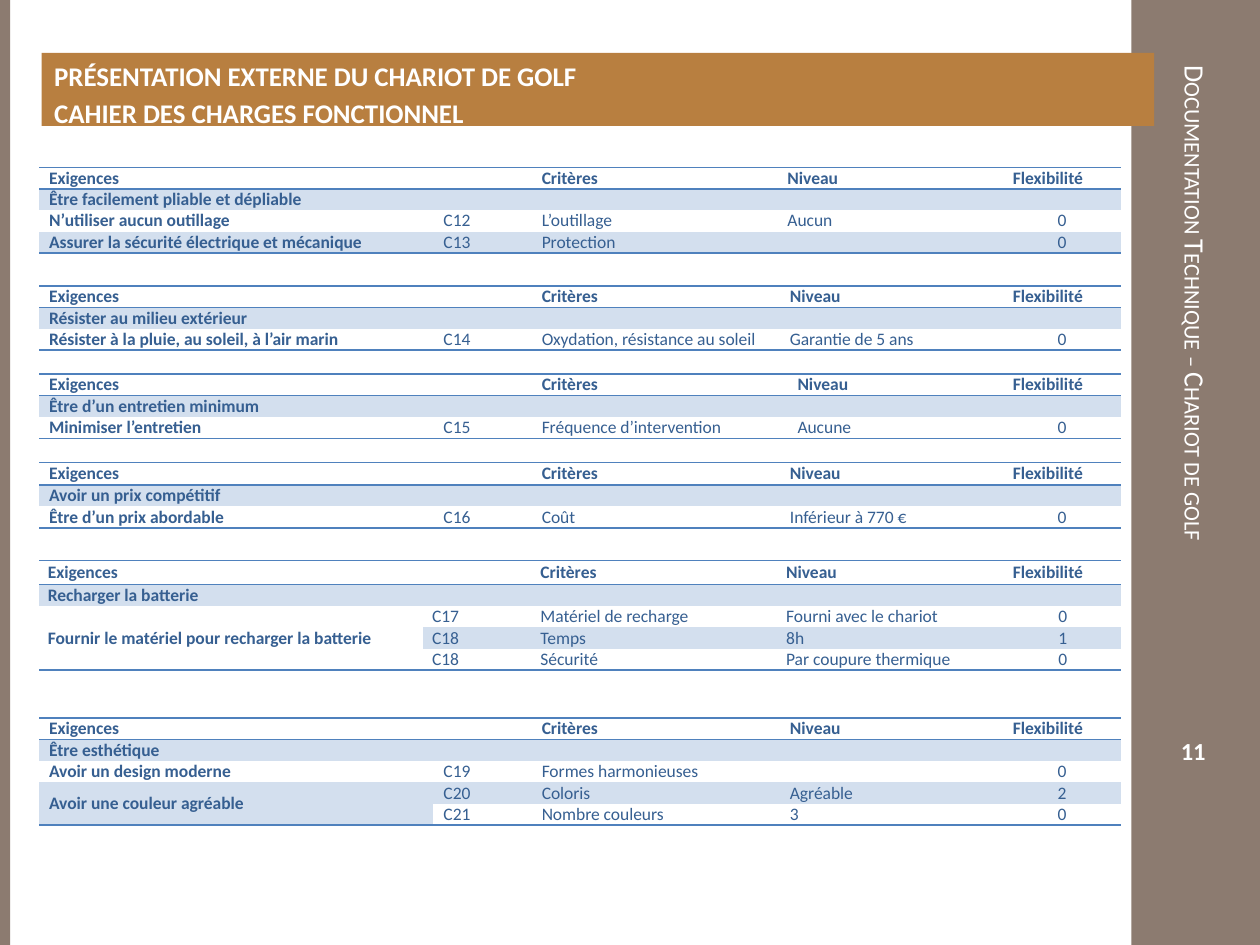
"""Build the golf trolley functional specification slide."""
from lxml import etree
from pptx import Presentation
from pptx import util as u
from pptx.dml.color import RGBColor
from pptx.enum import shapes, text
from pptx.oxml.ns import qn

COLORS = {"bar": "8C7B70", "band": "B87F40", "white": "FFFFFF",
          "ink": "365F91", "stripe": "D3DFEE", "rule": "4F81BD"}
FONT = "Calibri"
NO_STYLE = "{2D5ABB26-0587-4C30-8999-92F81FD0307C}"
HEADERS = ["Exigences", "", "Critères", "Niveau", "Flexibilité"]
ROW_HEIGHT = 0.17


def set_font(paragraph, size, color, bold=False):
    paragraph.font.name = FONT
    paragraph.font.size = u.Pt(size)
    paragraph.font.bold = bold
    paragraph.font.color.rgb = RGBColor.from_string(COLORS[color])


def add_rule(cell, side):
    line = etree.SubElement(cell._tc.get_or_add_tcPr(), qn("a:" + side), w=str(u.Pt(1)))
    fill = etree.SubElement(line, qn("a:solidFill"))
    etree.SubElement(fill, qn("a:srgbClr"), val=COLORS["rule"])


tables = [
    (1.33, ROW_HEIGHT, 0.08, [3.13, 0.78, 1.95, 1.79, 0.94], "Être facilement pliable et dépliable", [
        ["N’utiliser aucun outillage", "C12", "L’outillage", "Aucun", "0"],
        ["Assurer la sécurité électrique et mécanique", "C13", "Protection", "", "0"]]),
    (2.27, ROW_HEIGHT, 0.08, [3.13, 0.78, 1.97, 1.77, 0.94], "Résister au milieu extérieur", [
        ["Résister à la pluie, au soleil, à l’air marin", "C14",
         "Oxydation, résistance au soleil", "Garantie de 5 ans", "0"]]),
    (2.97, ROW_HEIGHT, 0.08, [3.13, 0.78, 2.03, 1.71, 0.94], "Être d’un entretien minimum", [
        ["Minimiser l’entretien", "C15", "Fréquence d’intervention", "Aucune", "0"]]),
    (3.67, 0.18, 0.08, [3.13, 0.78, 1.97, 1.77, 0.94], "Avoir un prix compétitif", [
        ["Être d’un prix abordable", "C16", "Coût", "Inférieur à 770 €", "0"]]),
    (4.45, 0.19, 0.07, [3.05, 0.86, 1.95, 1.8, 0.93], "Recharger la batterie", [
        ["Fournir le matériel pour recharger la batterie", "C17",
         "Matériel de recharge", "Fourni avec le chariot", "0"],
        ["", "C18", "Temps", "8h", "1"],
        ["", "C18", "Sécurité", "Par coupure thermique", "0"]]),
    (5.7, ROW_HEIGHT, 0.08, [3.13, 0.78, 1.97, 1.77, 0.94], "Être esthétique", [
        ["Avoir un design moderne", "C19", "Formes harmonieuses", "", "0"],
        ["Avoir une couleur agréable", "C20", "Coloris", "Agréable", "2"],
        ["", "C21", "Nombre couleurs", "3", "0"]]),
]

presentation = Presentation()
presentation.slide_width, presentation.slide_height = u.Inches(10), u.Inches(7.5)
slide = presentation.slides.add_slide(presentation.slide_layouts[5])

for left, width in [(8.98, 1.02), (0, 0.08)]:
    bar = slide.shapes.add_shape(shapes.MSO_SHAPE.RECTANGLE, u.Inches(left), 0,
                                 u.Inches(width), u.Inches(7.5))
    bar.shadow.inherit = False
    bar.fill.solid()
    bar.fill.fore_color.rgb = RGBColor.from_string(COLORS["bar"])
    bar.line.fill.background()

for box, words, size, vertical in [
        ((8.98, 0.42, 1.02, 6.42), "Documentation Technique – Chariot de golf", 16, True),
        ((8.98, 5.8, 0.98, 0.31), "11", 14, False)]:
    label = slide.shapes.add_textbox(*map(u.Inches, box))
    frame = label.text_frame
    frame.word_wrap = True
    frame.vertical_anchor = text.MSO_ANCHOR.MIDDLE
    paragraph = frame.paragraphs[0]
    paragraph.text = words
    set_font(paragraph, size, "white", bold=not vertical)
    if vertical:
        frame._txBody.bodyPr.set("vert", "vert")
        paragraph.runs[0].font._element.set("cap", "small")
    else:
        paragraph.alignment = text.PP_ALIGN.CENTER

title = slide.shapes.title
title.element.getparent().append(title.element)
title.left, title.top, title.width, title.height = map(u.Inches, (0.33, 0.42, 8.83, 0.58))
title.fill.solid()
title.fill.fore_color.rgb = RGBColor.from_string(COLORS["band"])
frame = title.text_frame
frame.text = "PRÉSENTATION EXTERNE DU CHARIOT DE GOLF\nCAHIER DES CHARGES FONCTIONNEL"
frame.word_wrap = True
frame.auto_size = text.MSO_AUTO_SIZE.NONE
frame.vertical_anchor = text.MSO_ANCHOR.TOP
for paragraph in frame.paragraphs:
    paragraph.alignment = text.PP_ALIGN.LEFT
    set_font(paragraph, 15.4, "white", bold=True)
frame.paragraphs[1].space_before = u.Pt(3)

for top, header_height, margin, widths, need, requirements in tables:
    rows = [HEADERS, [need, "", "", "", ""]] + requirements
    last = len(rows) - 1
    heights = [header_height] + [ROW_HEIGHT] * last
    graphic = slide.shapes.add_table(len(rows), len(widths), u.Inches(0.31), u.Inches(top),
                                     u.Inches(sum(widths)), u.Inches(sum(heights)))
    table = graphic.table
    table.first_row = table.horz_banding = False
    for style in graphic.element.iter(qn("a:tableStyleId")):
        style.text = NO_STYLE
    for column, width in zip(table.columns, widths):
        column.width = u.Inches(width)
    for row, height in zip(table.rows, heights):
        row.height = u.Inches(height)

    table.cell(1, 0).merge(table.cell(1, 4))
    starts = [r for r in range(2, len(rows)) if rows[r][0]]
    for start, following in zip(starts, starts[1:] + [len(rows)]):
        if following - start > 1:
            table.cell(start, 0).merge(table.cell(following - 1, 0))

    for r, values in enumerate(rows):
        for c, value in enumerate(values):
            cell = table.cell(r, c)
            cell.margin_left = cell.margin_right = u.Inches(margin)
            cell.margin_top = cell.margin_bottom = 0
            cell.vertical_anchor = text.MSO_ANCHOR.MIDDLE
            paragraph = cell.text_frame.paragraphs[0]
            if value:
                paragraph.text = value
            else:
                etree.SubElement(paragraph._p, qn("a:endParaRPr"), sz="1000")
            if r > 1 and c == 4:
                paragraph.alignment = text.PP_ALIGN.CENTER
            set_font(paragraph, 10, "ink", bold=r < 2 or c == 0)
            if r == 0:
                add_rule(cell, "lnT")
            if r == 0 or r == last or (cell.is_merge_origin and r + cell.span_height > last):
                add_rule(cell, "lnB")
            if r % 2:
                cell.fill.solid()
                cell.fill.fore_color.rgb = RGBColor.from_string(COLORS["stripe"])
            else:
                cell.fill.background()

presentation.save("out.pptx")
